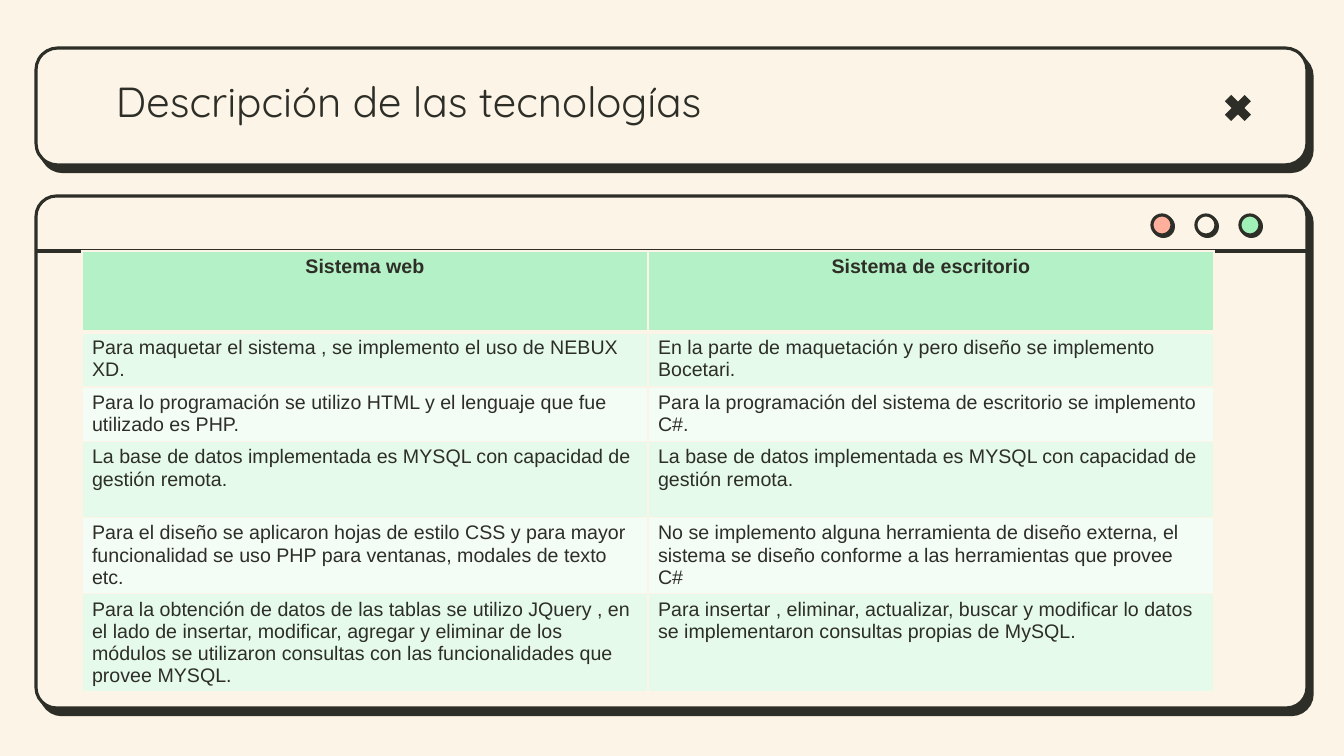
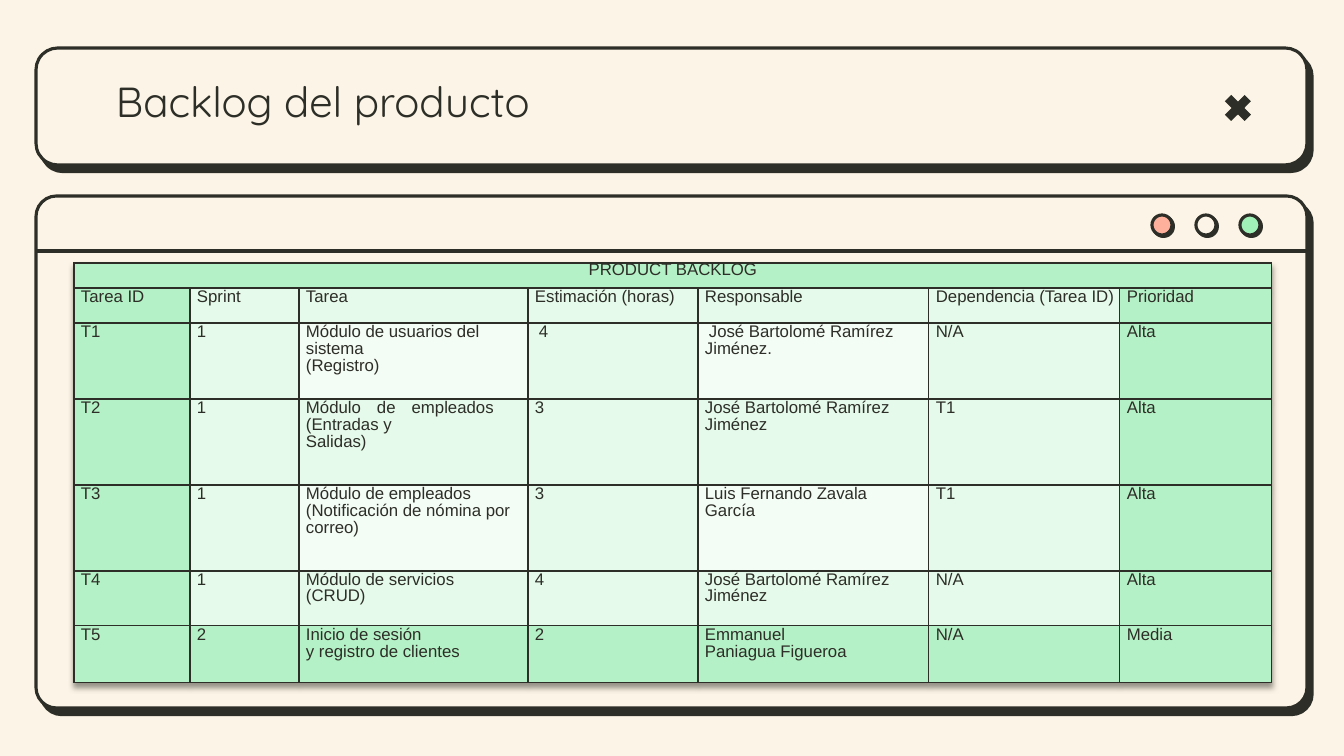
from lxml.etree import SubElement as Sub
from pptx import Presentation
from pptx.dml.color import RGBColor
from pptx.enum.shapes import MSO_CONNECTOR as Link, MSO_SHAPE as Form
from pptx.enum.text import MSO_ANCHOR as Anchor, MSO_AUTO_SIZE as Auto, PP_ALIGN as Align
from pptx.oxml.ns import qn
from pptx.util import Pt

SCALE = 12192000 / 1344
CREAM, INK = "FCF4E6", "2D2E27"
GREEN, CORAL = "9FF1B7", "FFB09C"
DEEP, SOFT, PALE = "B5F1C6", "E5FAEA", "F3FCF5"

BAR = (36, 48, 1271, 117)
WINDOW = (36, 196, 1271, 512)
TITLE = (106, 66, 1132, 85)

TECH = [
    ("Sistema web", "Sistema de escritorio"),
    ("Para maquetar el sistema , se implemento el uso de NEBUX XD.",
     "En la parte de maquetación y pero diseño se implemento Bocetari."),
    ("Para lo programación se utilizo HTML y el lenguaje que fue utilizado es PHP.",
     "Para la programación del sistema de escritorio se implemento C#."),
    ("La base de datos implementada es MYSQL con capacidad de gestión remota.",) * 2,
    ("Para el diseño se aplicaron hojas de estilo CSS y para mayor funcionalidad "
     "se uso PHP para ventanas, modales de texto etc.",
     "No se implemento alguna herramienta de diseño externa, el sistema se diseño "
     "conforme a las herramientas que provee C#"),
    ("Para la obtención de datos de las tablas se utilizo JQuery , en el lado de "
     "insertar, modificar, agregar y eliminar de los módulos se utilizaron "
     "consultas con las funcionalidades que provee MYSQL.",
     "Para insertar , eliminar, actualizar, buscar y modificar lo datos se "
     "implementaron consultas propias de MySQL."),
]

TASKS = [
    ("PRODUCT BACKLOG",) + ("",) * 6,
    ("Tarea ID", "Sprint", "Tarea", "Estimación (horas)", "Responsable",
     "Dependencia (Tarea ID)", "Prioridad"),
    ("T1", "1", "Módulo de usuarios del sistema\n(Registro)", "4",
     "José Bartolomé Ramírez Jiménez.", "N/A", "Alta"),
    ("T2", "1", "Módulo de empleados (Entradas y\nSalidas)", "3",
     "José Bartolomé Ramírez Jiménez", "T1", "Alta"),
    ("T3", "1", "Módulo de empleados (Notificación de nómina por\ncorreo)", "3",
     "Luis Fernando Zavala García", "T1", "Alta"),
    ("T4", "1", "Módulo de servicios\n(CRUD)", "4",
     "José Bartolomé Ramírez\nJiménez", "N/A", "Alta"),
    ("T5", "2", "Inicio de sesión\ny registro de clientes", "2",
     "Emmanuel\nPaniagua Figueroa", "N/A", "Media"),
]
# Indents in px of the cells that leave the common 7 px margin
INDENTS = {(2, 3): {"marL": 11}, (2, 4): {"indent": 4},
           (3, 2): {"marR": 34}, (4, 4): {"marR": 34}}


def px(num):
    return round(num * SCALE)


def rgb(code):
    return RGBColor.from_string(code)


def paint(obj, code):
    obj.fill.solid()
    obj.fill.fore_color.rgb = rgb(code)


def stroke(line, code, size=2.25):
    line.color.rgb = rgb(code)
    line.width = Pt(size)


def cast(parent, dist, angle, blur=0, alpha=100):
    """Add an outer shadow to an effect list; dist and blur in points."""
    shade = Sub(parent, qn("a:outerShdw"), blurRad=str(Pt(blur)), dist=str(Pt(dist)),
                dir=str(angle * 60000), algn="bl", rotWithShape="0")
    tone = Sub(shade, qn("a:srgbClr"), val=INK)
    Sub(tone, qn("a:alpha"), val=str(alpha * 1000))


def draw(slide, form, box, code, adj=None, drop=None):
    """Add a shape; drop is the distance and angle of its shadow, with an outline."""
    shape = slide.shapes.add_shape(form, *map(px, box))
    paint(shape, code)
    shape.shadow.inherit = False
    if adj:
        shape.adjustments[0] = adj
    if drop:
        stroke(shape.line, INK)
        cast(shape.element.spPr.find(qn("a:effectLst")), *drop)
    else:
        shape.line.fill.background()
    return shape


def window(slide, box):
    left, top, wide, _ = box
    parts = [draw(slide, Form.ROUNDED_RECTANGLE, box, CREAM, 0.04, (6, 52))]
    for num, code in enumerate((CORAL, CREAM, GREEN)):
        dot = (left + 1116 + 44 * num, top + 19, 20, 20)
        parts.append(draw(slide, Form.OVAL, dot, code, drop=(1.5, 45)))
    rule = slide.shapes.add_connector(
        Link.STRAIGHT, px(left), px(top + 55), px(left + wide), px(top + 55))
    stroke(rule.line, INK)
    Sub(rule.element.spPr, qn("a:effectLst"))
    return parts + [rule]


def banner(slide, box):
    left, top, wide, _ = box
    cross = (left + wide - 88, top + 41, 38, 38)
    return [draw(slide, Form.ROUNDED_RECTANGLE, box, CREAM, 0.186, (6, 52)),
            draw(slide, Form.MATH_MULTIPLY, cross, INK, 0.235)]


def dress(layout, slide):
    """Draw the shared frame and move it to the layout, behind its title."""
    paint(layout.background, CREAM)
    for item in list(layout.placeholders):
        if item.placeholder_format.idx:
            item.element.getparent().remove(item.element)
    title = layout.placeholders[0].element
    for part in window(slide, WINDOW) + banner(slide, BAR):
        title.addprevious(part.element)


def style(font, size, name="Arial", bold=False):
    font.size, font.name, font.bold = Pt(size), name, bold
    font.color.rgb = rgb(INK)


def head(slide, text, box):
    title = slide.shapes.title
    title.left, title.top, title.width, title.height = map(px, box)
    frame = title.text_frame
    frame.text = text
    frame.auto_size = Auto.NONE
    frame.vertical_anchor = Anchor.TOP
    frame.margin_left = frame.margin_right = px(10)
    frame.margin_top = frame.margin_bottom = px(10)
    para = frame.paragraphs[0]
    para.alignment = Align.LEFT
    style(para.runs[0].font, 30, "Quicksand")


def edge(cell, code, **sizes):
    """Set the four borders: 1 pt unless sizes names a side (L, R, T, B)."""
    props = cell._tc.get_or_add_tcPr()
    for spot, side in enumerate("LRTB"):
        line = Sub(props, qn("a:ln" + side), w=str(Pt(sizes.get(side, 1))))
        Sub(Sub(line, qn("a:solidFill")), qn("a:srgbClr"), val=code)
        props.insert(spot, line)


def grid(slide, spot, cols, rows, data):
    """Add a table of plain text and return it."""
    frame = slide.shapes.add_table(len(rows), len(cols), px(spot[0]), px(spot[1]),
                                   px(sum(cols)), px(sum(rows)))
    table = frame.table
    table.horz_banding = False
    for col, wide in zip(table.columns, cols):
        col.width = px(wide)
    for row, high, texts in zip(table.rows, rows, data):
        row.height = px(high)
        for cell, text in zip(row.cells, texts):
            cell.text_frame.text = text
    return table


def cells(table):
    for r, row in enumerate(table.rows):
        for c, cell in enumerate(row.cells):
            yield r, c, cell


def tech(slide, spot):
    table = grid(slide, spot, (566, 566), (81, 55, 54, 76, 76, 98), TECH)
    for r, _, cell in cells(table):
        paint(cell, DEEP if r == 0 else SOFT if r % 2 else PALE)
        edge(cell, CREAM, **{0: {"B": 3}, 1: {"T": 3}}.get(r, {}))
        para = cell.text_frame.paragraphs[0]
        para.alignment = Align.LEFT if r else Align.CENTER
        style(para.runs[0].font, 14, bold=r == 0)


def tone(r, c):
    if r in (0, 6) or c in (0, 6):
        return DEEP
    return PALE if r in (2, 4) and c in (2, 4) else SOFT


def tasks(slide, spot):
    table = grid(slide, spot, (116, 109, 229, 170, 231, 191, 152),
                 (25, 35, 76, 86, 86, 55, 57), TASKS)
    table.cell(0, 0).merge(table.cell(0, 6))
    glow = Sub(table._tbl.tblPr, qn("a:effectLst"))
    table._tbl.tblPr.insert(0, glow)
    cast(glow, 3, 90, 4, 50)
    for r, c, cell in cells(table):
        paint(cell, tone(r, c))
        edge(cell, INK)
        cell.margin_left = cell.margin_right = 0
        cell.margin_top = cell.margin_bottom = 0
        for num, para in enumerate(cell.text_frame.paragraphs):
            para.line_spacing = Pt(11.8 if r == 0 or num and r < 6 else 12.6)
            para.alignment = Align.LEFT if r else Align.CENTER
            if r:
                props = para._p.get_or_add_pPr()
                for key, gap in {"marL": 7, **INDENTS.get((r, c), {})}.items():
                    props.set(key, str(px(gap)))
            style(para.font, 12)
            for run in para.runs:
                style(run.font, 12)
    table.cell(3, 2).text_frame.paragraphs[0].alignment = Align.JUSTIFY


def main():
    deck = Presentation()
    deck.slide_width, deck.slide_height = px(1344), px(756)
    layout = deck.slide_layouts[5]
    first, second = (deck.slides.add_slide(layout) for _ in range(2))
    dress(layout, first)
    head(first, "Descripción de las tecnologías", TITLE)
    tech(first, (82, 251))
    head(second, "Backlog del producto", TITLE)
    tasks(second, (74, 263))
    deck.save("out.pptx")


if __name__ == "__main__":
    main()
